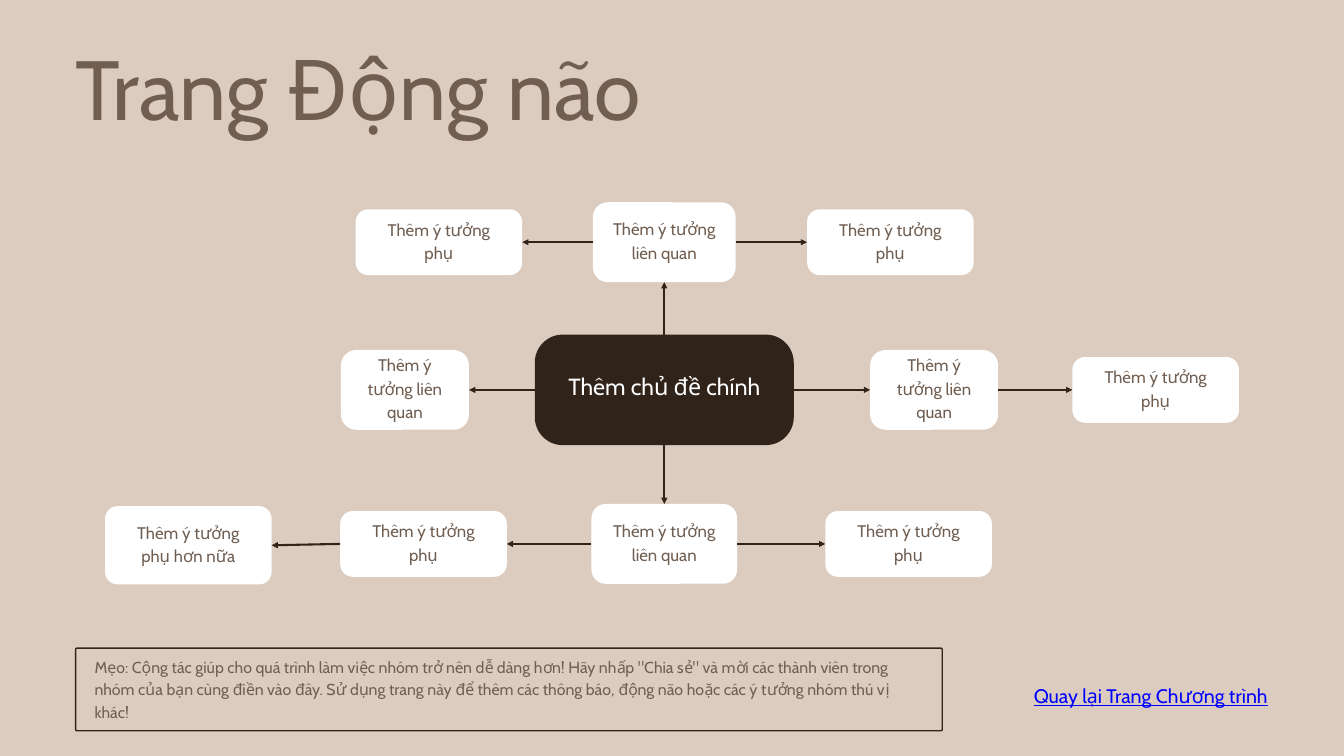
import pptx
import pptx.dml.color
import pptx.enum.shapes
import pptx.enum.text
import pptx.oxml
import pptx.oxml.ns
import pptx.util

EMU_PER_PX = 9525  # 1920 x 1080 px on 20 x 11.25 in
FONT = "Cabin"
COLORS = {
    "sand": "DCCCC0",
    "dark": "30231A",
    "brown": "705E51",
    "white": "FFFFFF",
    "link": "0000FF",
}
ALIGN = pptx.enum.text.PP_ALIGN
ANCHOR = pptx.enum.text.MSO_ANCHOR
TOP, LEFT, BOTTOM, RIGHT = range(4)
ROUND_INSET = 0.29  # share of the corner radius a rounded box takes from its text

RELATED = "Thêm ý tưởng liên quan"
SUB = "Thêm ý tưởng phụ"
FURTHER = "Thêm ý tưởng\nphụ hơn nữa"
TIP = ('Mẹo: Cộng tác giúp cho quá trình làm việc nhóm trở nên dễ dàng hơn! '
       'Hãy nhấp "Chia sẻ" và mời các thành viên trong nhóm của bạn cùng điền vào đây. '
       'Sử dụng trang này để thêm các thông báo, động não hoặc các ý tưởng nhóm thú vị khác!')

# name: (text, left, centre y, width, height, corner radius)
IDEAS = {
    "left": (RELATED, 487, 557, 183, 114, 22),
    "top": (RELATED, 847, 346, 204, 114, 21),
    "bottom": (RELATED, 845, 777, 208, 114, 20),
    "right": (RELATED, 1243, 557, 183, 114, 22),
    "top right": (SUB, 1153, 346, 238, 94, 18),
    "top left": (SUB, 508, 346, 238, 94, 18),
    "far right": (SUB, 1532, 557, 238, 94, 18),
    "bottom left": (SUB, 486, 777, 238, 94, 18),
    "far bottom left": (FURTHER, 150, 779, 238, 112, 18),
    "bottom right": (SUB, 1179, 777, 238, 94, 18),
}
ARROWS = [
    ("main", "right", RIGHT),
    ("main", "left", LEFT),
    ("main", "top", TOP),
    ("main", "bottom", BOTTOM),
    ("top", "top left", LEFT),
    ("top", "top right", RIGHT),
    ("right", "far right", RIGHT),
    ("bottom", "bottom left", LEFT),
    ("bottom", "bottom right", RIGHT),
    ("bottom left", "far bottom left", LEFT),
]


def px(n):
    return pptx.util.Emu(round(n * EMU_PER_PX))


def color(name):
    return pptx.dml.color.RGBColor.from_string(COLORS[name])


def write(tf, text, size, leading, fill="brown", align=ALIGN.LEFT,
          anchor=ANCHOR.TOP, insets=(0, 0, 0, 0), underline=None):
    """Fill a text frame, one paragraph a line; insets are left, top, right, bottom px."""
    tf.word_wrap = True
    tf.auto_size = pptx.enum.text.MSO_AUTO_SIZE.NONE
    tf.vertical_anchor = anchor
    tf.margin_left, tf.margin_top, tf.margin_right, tf.margin_bottom = map(px, insets)
    for i, line in enumerate(text.split("\n")):
        p = tf.add_paragraph() if i else tf.paragraphs[0]
        p.alignment = align
        p.line_spacing = pptx.util.Pt(leading)
        r = p.add_run()
        r.text = line
        r.font.name = FONT
        r.font.size = pptx.util.Pt(size)
        r.font.color.rgb = color(fill)
        r.font.underline = underline


class Board:
    def __init__(self, prs):
        self.slide = prs.slides.add_slide(prs.slide_layouts[5])
        self.shapes = self.slide.shapes
        bg = self.slide.background.fill
        bg.solid()
        bg.fore_color.rgb = color("sand")

    def title(self, text, x, y, w, h, **style):
        sp = self.shapes.title
        sp.left, sp.top, sp.width, sp.height = map(px, (x, y, w, h))
        write(sp.text_frame, text, **style)

    def label(self, text, x, y, w, h, **style):
        sp = self.shapes.add_textbox(*map(px, (x, y, w, h)))
        write(sp.text_frame, text, **style)

    def box(self, text, x, mid, w, h, radius, back="white", outline=None, lift=8, **style):
        """Rounded box centred on mid, its text raised by half of lift."""
        sp = self.shapes.add_shape(pptx.enum.shapes.MSO_SHAPE.ROUNDED_RECTANGLE,
                                   *map(px, (x, mid - h / 2, w, h)))
        sp.adjustments[0] = radius / min(w, h)
        sp.shadow.inherit = False
        sp.fill.solid()
        sp.fill.fore_color.rgb = color(back)
        if outline:
            sp.line.color.rgb = color(outline)
            sp.line.width = pptx.util.Pt(1.5)
        else:
            sp.line.fill.background()
        side = 27 - ROUND_INSET * radius
        write(sp.text_frame, text, anchor=ANCHOR.MIDDLE,
              insets=(side, 0, side, lift), **style)
        return sp

    def arrow(self, start, end, side):
        """Arrow leaving start by side and entering end by the opposite one."""
        c = self.shapes.add_connector(pptx.enum.shapes.MSO_CONNECTOR.STRAIGHT, 0, 0, 0, 0)
        c.begin_connect(start, side)
        c.end_connect(end, (side + 2) % 4)
        c.line.color.rgb = color("dark")
        c.line.width = pptx.util.Pt(2.25)
        head = pptx.oxml.parse_xml(
            f'<a:tailEnd {pptx.oxml.ns.nsdecls("a")} type="triangle"/>')
        c.line._get_or_add_ln().append(head)
        c._element.spPr.append(
            pptx.oxml.parse_xml(f'<a:effectLst {pptx.oxml.ns.nsdecls("a")}/>'))


def main():
    prs = pptx.Presentation()
    prs.slide_width, prs.slide_height = px(1920), px(1080)
    board = Board(prs)
    board.title("Trang Động não", 108, 52, 1280, 145, size=90, leading=108)

    nodes = {"main": board.box("Thêm chủ đề chính", 764, 557, 370, 158, 40, back="dark",
                               lift=17, size=25, leading=35, fill="white",
                               align=ALIGN.CENTER)}
    for name, idea in IDEAS.items():
        nodes[name] = board.box(*idea, size=18, leading=25.2, align=ALIGN.CENTER)
    for start, end, side in ARROWS:
        board.arrow(nodes[start], nodes[end], side)

    board.box(TIP, 108, 985, 1238, 118, 2, back="sand", outline="dark", lift=4,
              size=17, leading=23.8)
    board.label("Quay lại Trang Chương trình", 1454, 972, 357, 37, size=21, leading=29.4,
                fill="link", align=ALIGN.RIGHT, underline=True)
    prs.save("out.pptx")


if __name__ == "__main__":
    main()
